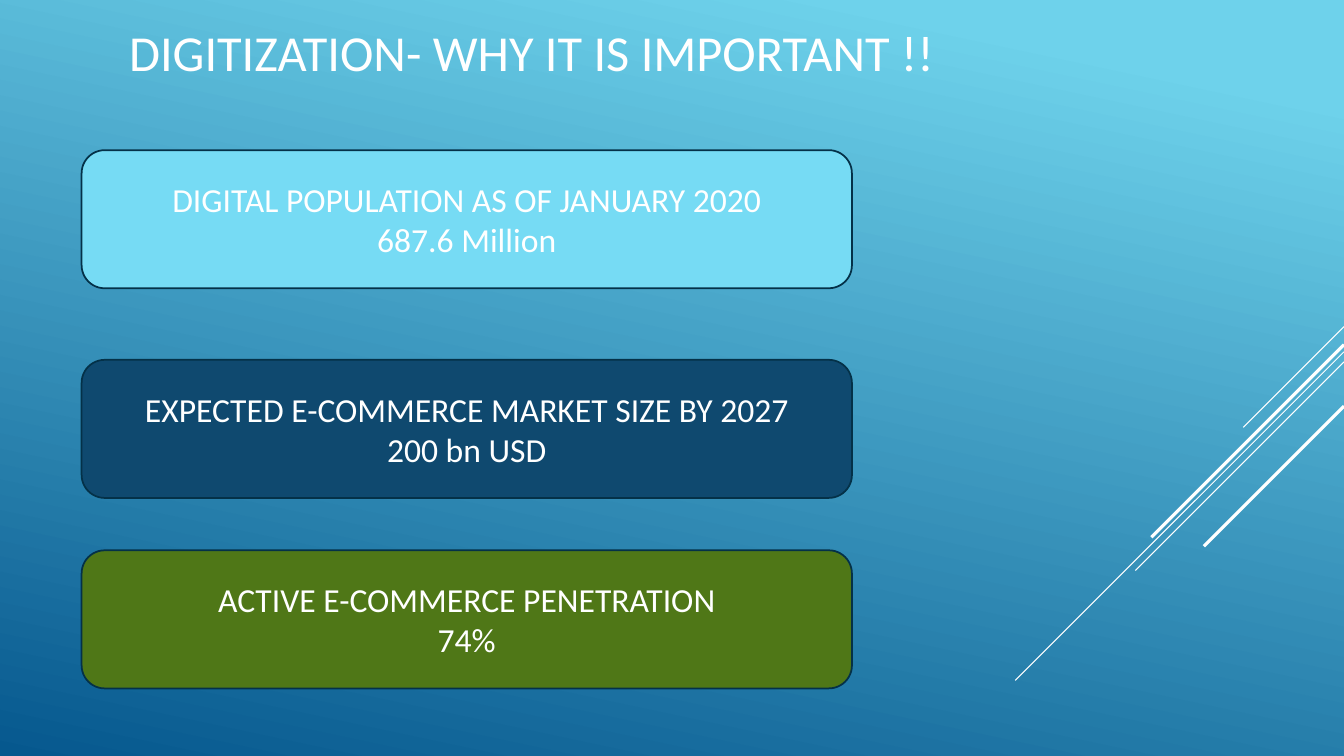
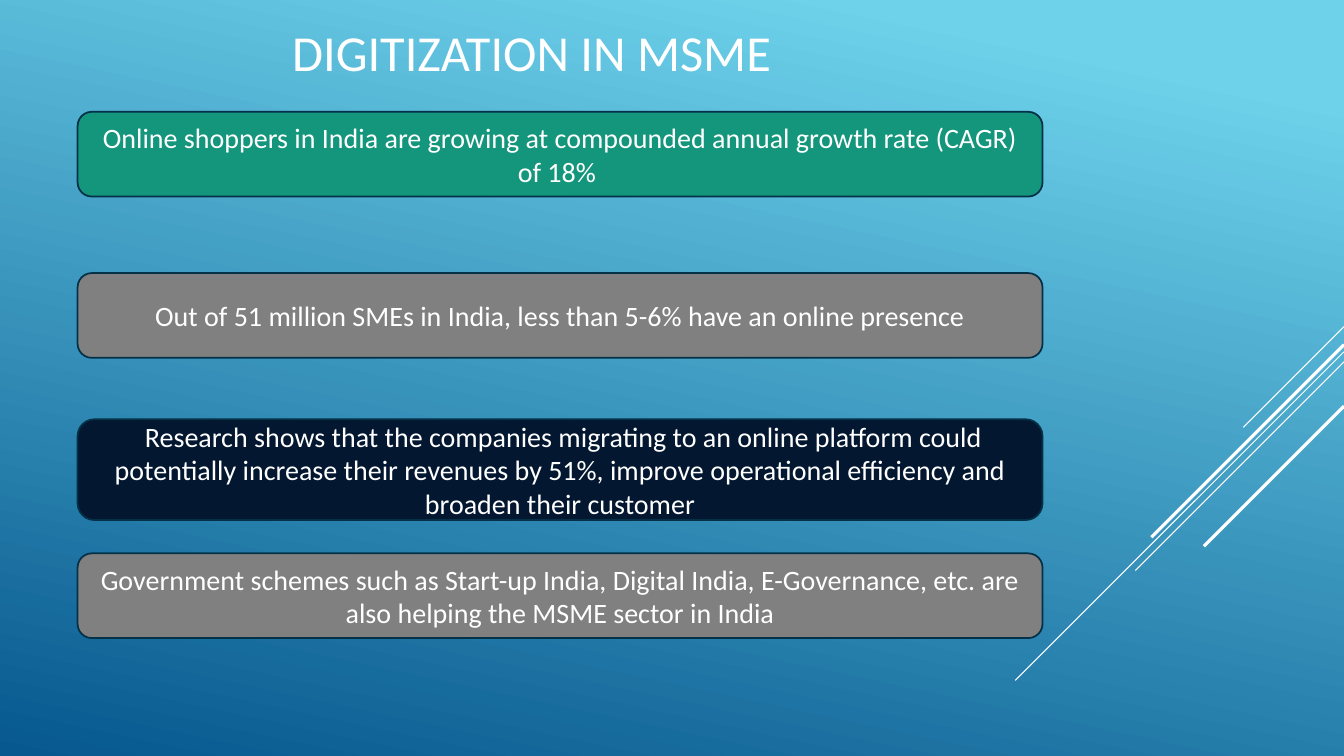
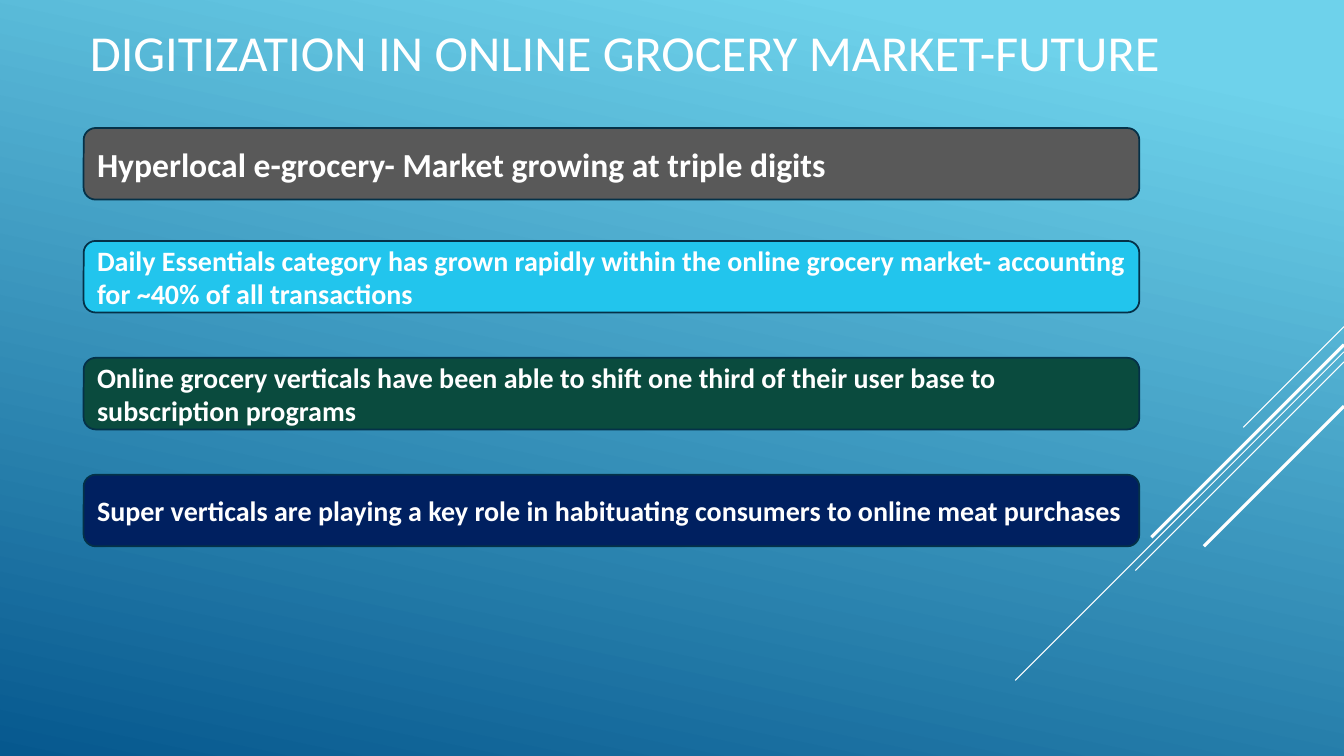
"""Build three slides on digitization, e-commerce and the online grocery market."""
from dataclasses import dataclass

from lxml.etree import SubElement
from pptx import Presentation
from pptx.dml.color import RGBColor
from pptx.enum.shapes import MSO_CONNECTOR, MSO_SHAPE
from pptx.enum.text import MSO_ANCHOR, PP_ALIGN
from pptx.oxml.ns import qn
from pptx.util import Inches, Pt


@dataclass(frozen=True)
class Theme:
    font: str = "Calibri"
    lead_font: str = "Quicksand"
    text: RGBColor = RGBColor.from_string("FFFFFF")
    outline: RGBColor = RGBColor.from_string("043148")
    sky: RGBColor = RGBColor.from_string("6ED2EB")
    deep: RGBColor = RGBColor.from_string("06588E")
    title_size: int = 36
    large: int = 24
    body: int = 20
    lead_size: int = 18
    outline_width: float = 1.25


@dataclass(frozen=True)
class Card:
    top: float
    height: float
    fill: str
    size: int
    lines: tuple
    lead: str = ""


@dataclass(frozen=True)
class Page:
    title: str
    title_width: float
    left: float
    width: float
    align: PP_ALIGN
    bold: bool
    cards: tuple


theme = Theme()

STREAKS = (
    (3.24, 12.33, 0.75),
    (3.49, 10.07, 0.75),
    (3.59, 11.26, 0.75),
    (3.42, 11.42, 2.25),
    (4.03, 11.94, 2.25),
)

PAGES = (
    Page("DIGITIZATION- WHY IT IS IMPORTANT !!", 9.33, 0.81, 7.64, PP_ALIGN.CENTER, False, (
        Card(1.49, 1.37, "76DBF4", theme.large,
             ("DIGITAL POPULATION AS OF JANUARY 2020", "687.6 Million")),
        Card(3.57, 1.37, "0F496F", theme.large,
             ("EXPECTED E-COMMERCE MARKET SIZE BY 2027", "200 bn USD")),
        Card(5.46, 1.37, "4F7717", theme.large,
             ("ACTIVE E-COMMERCE PENETRATION", "74%")),
    )),
    Page("DIGITIZATION IN MSME", 9.33, 0.77, 9.57, PP_ALIGN.CENTER, False, (
        Card(1.11, 0.84, "14967C", theme.body,
             ("Online shoppers in India are growing at compounded annual growth rate "
              "(CAGR) of 18%\u00a0",)),
        Card(2.71, 0.84, "808080", theme.body,
             ("Out of 51 million SMEs in India, less than 5-6% have an online presence",)),
        Card(4.16, 1, "031730", theme.body,
             ("Research shows that the companies migrating to an online platform could "
              "potentially increase their revenues by 51%, improve operational efficiency "
              "and broaden their customer",), lead="\u00a0"),
        Card(5.49, 0.84, "808080", theme.body,
             ("Government schemes such as Start-up India, Digital India, E-Governance, etc. "
              "are also helping the MSME sector in India",)),
    )),
    Page("DIGITIZATION IN ONLINE GROCERY MARKET-FUTURE", 11.18, 0.83, 10.47, PP_ALIGN.LEFT, True, (
        Card(1.27, 0.71, "595959", theme.large,
             ("Hyperlocal e-grocery- Market growing at triple digits",)),
        Card(2.39, 0.71, "22C5ED", theme.body,
             ("Daily Essentials category has grown rapidly within the online grocery market- "
              "accounting for ~40% of all transactions",)),
        Card(3.55, 0.71, "0A4B3E", theme.body,
             ("Online grocery verticals have been able to shift one third of their user base "
              "to subscription programs",)),
        Card(4.71, 0.71, "002060", theme.body,
             ("Super verticals are playing a key role in habituating consumers to online "
              "meat purchases",)),
    )),
)


def write(shape, lines, size, align, bold=False, lead=""):
    frame = shape.text_frame
    frame.word_wrap = True
    frame.vertical_anchor = MSO_ANCHOR.MIDDLE
    for index, line in enumerate(lines):
        para = frame.add_paragraph() if index else frame.paragraphs[0]
        para.alignment = align
        para.font.name = theme.font
        para.font.size = Pt(size)
        para.font.bold = bold
        para.font.color.rgb = theme.text
        if lead:
            span = para.add_run()
            span.text = lead
            span.font.name = theme.lead_font
            span.font.size = Pt(theme.lead_size)
        para.add_run().text = line


deck = Presentation()
deck.slide_width, deck.slide_height = Inches(13.33), Inches(7.5)

backdrop = deck.slide_master.background.fill
backdrop.gradient()
backdrop.gradient_angle = 360 - 102
for stop, color, position in zip(backdrop.gradient_stops, (theme.sky, theme.deep), (0.1, 1)):
    stop.color.rgb = color
    stop.position = position

for page in PAGES:
    slide = deck.slides.add_slide(deck.slide_layouts[6])

    for start, end, weight in STREAKS:
        streak = slide.shapes.add_connector(
            MSO_CONNECTOR.STRAIGHT, Inches(13.33), Inches(start),
            Inches(end), Inches(start + 13.33 - end))
        streak.line.color.rgb = theme.text
        streak.line.width = Pt(weight)
        SubElement(streak._element.spPr, qn("a:effectLst"))

    title = slide.shapes.add_textbox(
        Inches(0.61), Inches(0.15), Inches(page.title_width), Inches(0.72))
    write(title, (page.title,), theme.title_size, PP_ALIGN.CENTER)

    for card in page.cards:
        box = slide.shapes.add_shape(
            MSO_SHAPE.ROUNDED_RECTANGLE, Inches(page.left), Inches(card.top),
            Inches(page.width), Inches(card.height))
        box.shadow.inherit = False
        box.fill.solid()
        box.fill.fore_color.rgb = RGBColor.from_string(card.fill)
        box.line.color.rgb = theme.outline
        box.line.width = Pt(theme.outline_width)
        write(box, card.lines, card.size, page.align, page.bold, card.lead)

deck.save("out.pptx")
